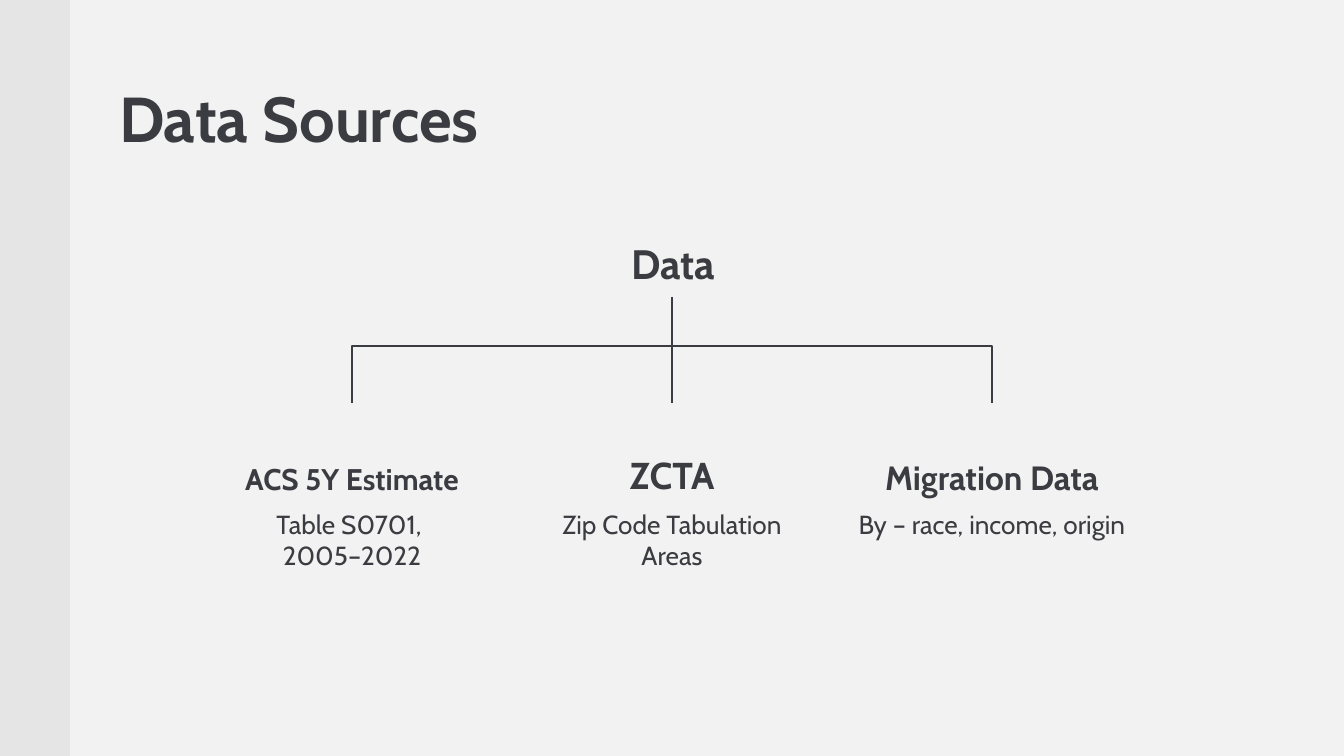
from dataclasses import dataclass

from pptx import Presentation
from pptx.dml.color import RGBColor
from pptx.enum.shapes import MSO_CONNECTOR, MSO_SHAPE
from pptx.enum.text import MSO_ANCHOR, MSO_AUTO_SIZE, PP_ALIGN
from pptx.oxml.ns import qn
from pptx.util import Pt
from lxml import etree

ELBOW = MSO_CONNECTOR.ELBOW
LINE = MSO_CONNECTOR.STRAIGHT
RECT = MSO_SHAPE.RECTANGLE
TOP = MSO_ANCHOR.TOP
LOW = MSO_ANCHOR.BOTTOM
LEFT = PP_ALIGN.LEFT
MID = PP_ALIGN.CENTER
FIXED = MSO_AUTO_SIZE.NONE


@dataclass(frozen=True)
class Theme:
    font: str = "Cabin"
    ink: RGBColor = RGBColor(0x3B, 0x3C, 0x41)
    back: RGBColor = RGBColor(0xF3, 0xF2, 0xF2)
    band: RGBColor = RGBColor(0xE5, 0xE5, 0xE5)
    title: int = 34
    root: int = 22
    body: int = 14
    rule: float = 0.75


theme = Theme()


def px(*nums):
    return [round(n * 914400 / 134.4) for n in nums]


def write(shape, text, size, bold=False, align=MID, anchor=TOP):
    frame = shape.text_frame
    frame.word_wrap = True
    frame.auto_size = FIXED
    frame.vertical_anchor = anchor
    pad = px(13)[0]
    frame.margin_left = frame.margin_right = pad
    frame.margin_top = frame.margin_bottom = pad
    frame.text = text
    para = frame.paragraphs[0]
    para.alignment = align
    para.font.name = theme.font
    para.font.size = Pt(size)
    para.font.bold = bold
    para.font.color.rgb = theme.ink


deck = Presentation()
deck.slide_width, deck.slide_height = px(1344, 756)
slide = deck.slides.add_slide(deck.slide_layouts[5])
slide.background.fill.solid()
slide.background.fill.fore_color.rgb = theme.back
shapes = slide.shapes

band = shapes.add_shape(RECT, *px(0, 0, 70, 756))
band.shadow.inherit = False
band.fill.solid()
band.fill.fore_color.rgb = theme.band
band.line.fill.background()

title = shapes.title
title.left, title.top, title.width, title.height = px(106, 66, 1133, 85)
write(title, "Data Sources", theme.title, True, LEFT)

root = shapes.add_textbox(*px(354, 194, 638, 107))
write(root, "Data", theme.root, True, anchor=LOW)

leaves = [
    ("ACS 5Y Estimate", 16, "Table S0701, \v2005–2022"),
    ("ZCTA", 20, "Zip Code Tabulation Areas"),
    ("Migration Data", 18, "By – race, income, origin"),
]
for i, (name, size, note) in enumerate(leaves):
    left = 200 + 320 * i
    head = shapes.add_textbox(*px(left, 403, 304, 107))
    write(head, name, size, True, anchor=LOW)
    body = shapes.add_textbox(*px(left, 495, 304, 177))
    write(body, note, theme.body)

links = [
    (ELBOW, 672, 346, 352, 403),
    (LINE, 672, 297, 672, 403),
    (ELBOW, 672, 346, 992, 403),
]
for kind, *ends in links:
    link = shapes.add_connector(kind, *px(*ends))
    link.line.color.rgb = theme.ink
    link.line.width = Pt(theme.rule)
    props = link._element.spPr
    etree.SubElement(props, qn("a:effectLst"))
    if kind == ELBOW:
        props.find(qn("a:prstGeom")).set("prst", "bentConnector2")

deck.save("out.pptx")
